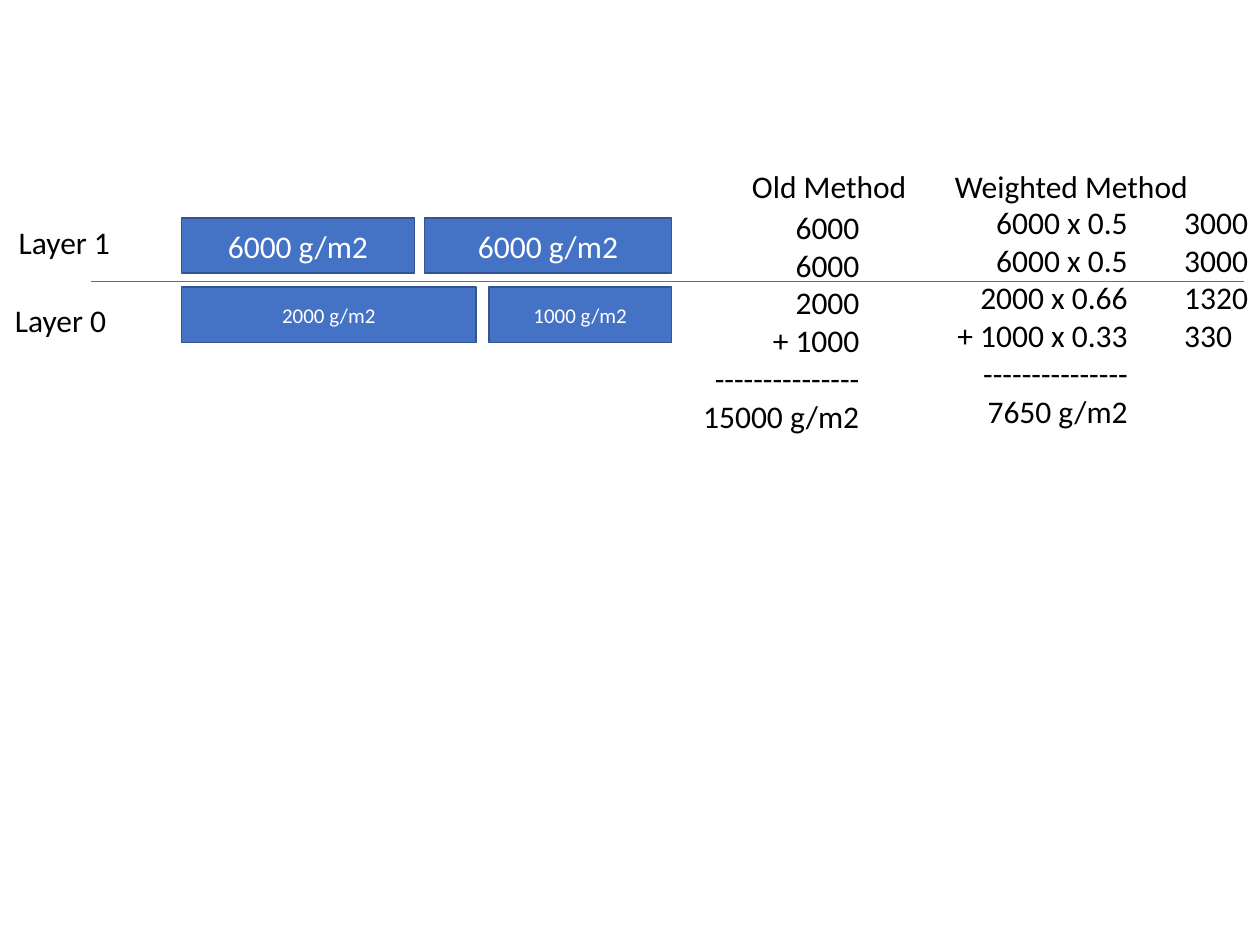
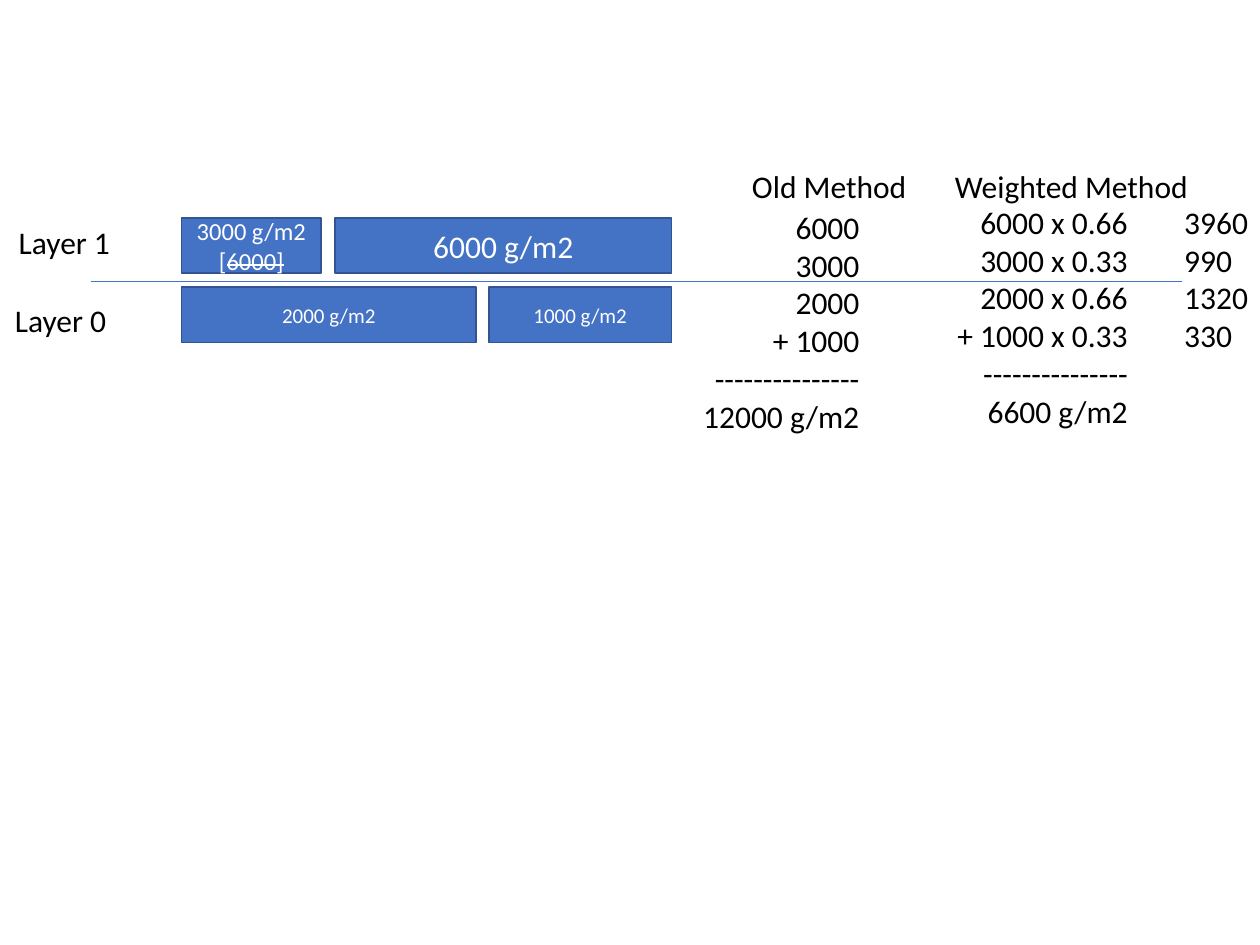
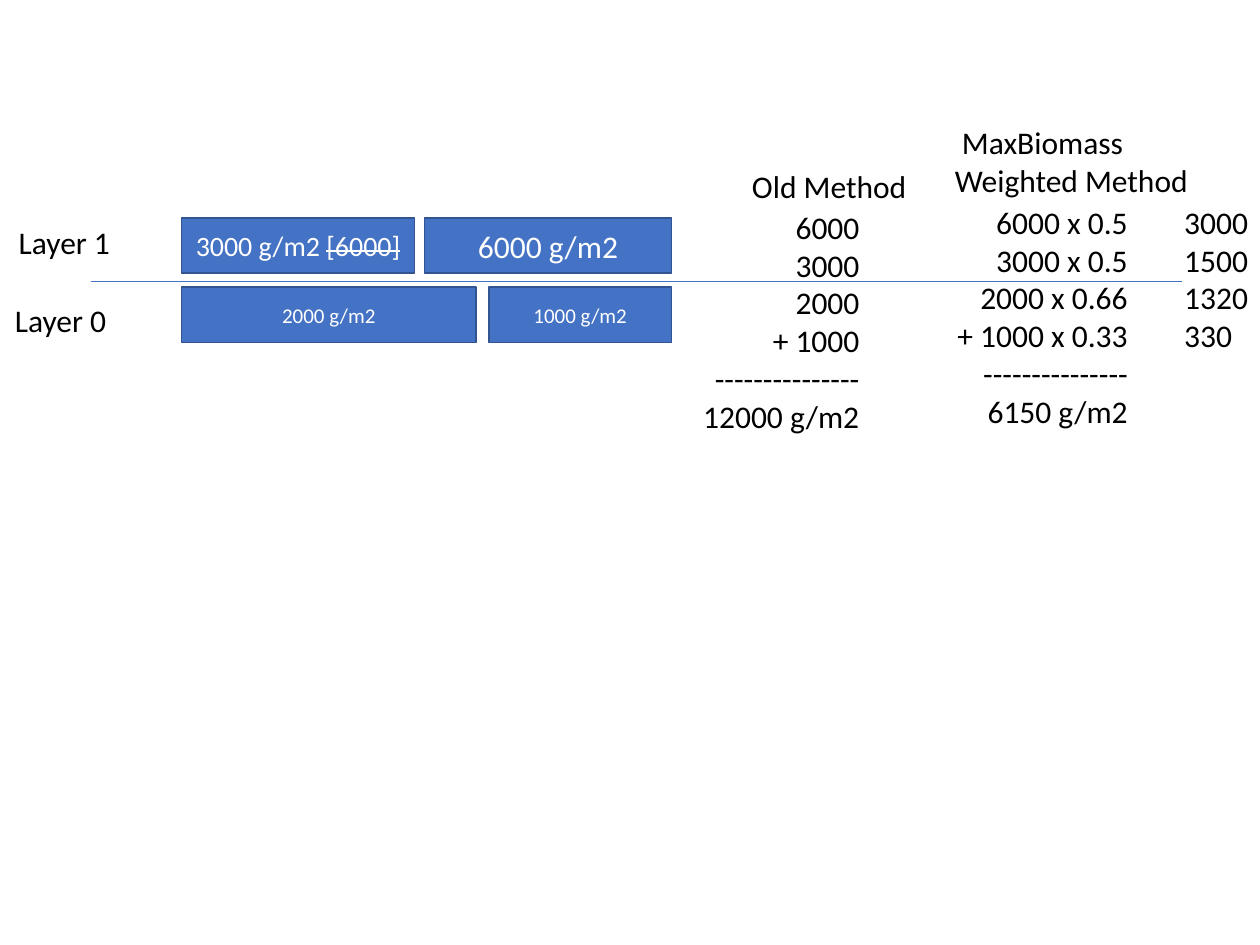
from lxml import etree
from pptx import Presentation
from pptx import util as u
from pptx.dml.color import RGBColor
from pptx.enum import shapes, text
from pptx.oxml.ns import qn

LEFT, RIGHT = 1.44, 5.33
TOPS = {"Layer 1": 1.73, "Layer 0": 2.28}
BASE = [(2000, 0.66), (1000, 0.33)]
RULE = "-" * 15


def color(code):
    return RGBColor.from_string(code)


class Deck:
    font = "Calibri"
    blue, edge, white, black = "4472C4", "325491", "FFFFFF", "000000"

    def __init__(self):
        self.prs = Presentation()
        self.prs.slide_width = u.Inches(10)
        self.prs.slide_height = u.Inches(7.5)

    def page(self):
        self.slide = self.prs.slides.add_slide(self.prs.slide_layouts[6])

    def run(self, para, words, size, code, strike=False):
        run = para.add_run()
        run.text = words
        run.font.name = self.font
        run.font.size = u.Pt(size)
        run.font.color.rgb = color(code)
        if strike:
            run.font._element.set("strike", "sngStrike")

    def block(self, left, top, wide, size, words, struck=""):
        """Draw a biomass bar, with an optional struck-out value after its label."""
        box = self.slide.shapes.add_shape(
            shapes.MSO_SHAPE.RECTANGLE, u.Inches(left), u.Inches(top),
            u.Inches(wide), u.Inches(0.44))
        box.shadow.inherit = False
        box.fill.solid()
        box.fill.fore_color.rgb = color(self.blue)
        box.line.color.rgb = color(self.edge)
        box.line.width = u.Pt(1)
        frame = box.text_frame
        frame.word_wrap = True
        frame.vertical_anchor = text.MSO_ANCHOR.MIDDLE
        para = frame.paragraphs[0]
        para.alignment = text.PP_ALIGN.CENTER
        self.run(para, words, size, self.white)
        if struck:
            self.run(para, struck, size, self.white, True)

    def label(self, left, top, wide, high, rows, align=text.PP_ALIGN.LEFT):
        """Write one paragraph per row; a newline in a row is a line break."""
        box = self.slide.shapes.add_textbox(
            u.Inches(left), u.Inches(top), u.Inches(wide), u.Inches(high))
        frame = box.text_frame
        frame.word_wrap = False
        frame.auto_size = text.MSO_AUTO_SIZE.SHAPE_TO_FIT_TEXT
        for i, row in enumerate(rows):
            para = frame.add_paragraph() if i else frame.paragraphs[0]
            para.alignment = align
            for j, part in enumerate(row.split("\n")):
                if j:
                    para.add_line_break()
                self.run(para, part, 18, self.black)

    def line(self, start, end, top):
        line = self.slide.shapes.add_connector(
            shapes.MSO_CONNECTOR.STRAIGHT, u.Inches(start), u.Inches(top),
            u.Inches(end), u.Inches(top))
        line.line.color.rgb = color(self.blue)
        line.line.width = u.Pt(0.5)
        etree.SubElement(line._element.spPr, qn("a:effectLst"))


def column(terms, total):
    """List the terms of a sum, a rule and the total."""
    return [*terms[:-1], f"+ {terms[-1]}", RULE, f"{total} g/m2"]


def compare(deck, first, split, upper, end, title, high):
    """Build a slide; first is (width, size, label, struck) of the top left bar."""
    deck.page()
    wide, *words = first
    deck.block(LEFT, TOPS["Layer 1"], wide, *words)
    deck.block(LEFT, TOPS["Layer 0"], 2.34, 12, "2000 g/m2")
    deck.block(3.88, TOPS["Layer 0"], 1.45, 12, "1000 g/m2")
    deck.line(0.72, end, 2.23)
    deck.label(0.02, 2.34, 0.94, 0.4, ["Layer 0"])
    deck.label(0.05, 1.72, 0.94, 0.4, ["Layer 1"])

    terms = upper + BASE
    parts = [round(mass * share) for mass, share in terms]
    old = column([str(mass) for mass, _ in terms], sum(mass for mass, _ in terms))
    new = column([f"{mass} x {share}" for mass, share in terms], sum(parts))
    deck.label(5.46, 1.6, 1.46, 1.92, old, text.PP_ALIGN.RIGHT)
    deck.label(7.48, 1.56, 1.57, 1.92, new, text.PP_ALIGN.RIGHT)
    deck.label(5.87, 1.28, 1.44, 0.4, ["Old Method"])
    deck.label(7.48, 1.64 - high if "\n" in title else 1.28, 2.07, high, [title])
    deck.block(split, TOPS["Layer 1"], RIGHT - split, 18, "6000 g/m2")
    deck.label(9.3, 1.56, 0.71, 1.31, [str(part) for part in parts])


def main():
    deck = Deck()
    title = "Weighted Method"
    compare(deck, (1.85, 18, "6000 g/m2"), 3.37,
            [(6000, 0.5), (6000, 0.5)], 9.87, title, 0.4)
    compare(deck, (1.11, 14, "3000 g/m2 [", "6000]"), 2.66,
            [(6000, 0.66), (3000, 0.33)], 9.38, title, 0.4)
    compare(deck, (1.85, 16, "3000 g/m2 ", "[6000]"), 3.37,
            [(6000, 0.5), (3000, 0.5)], 9.38, " MaxBiomass\n" + title, 0.71)
    deck.prs.save("out.pptx")


if __name__ == "__main__":
    main()
